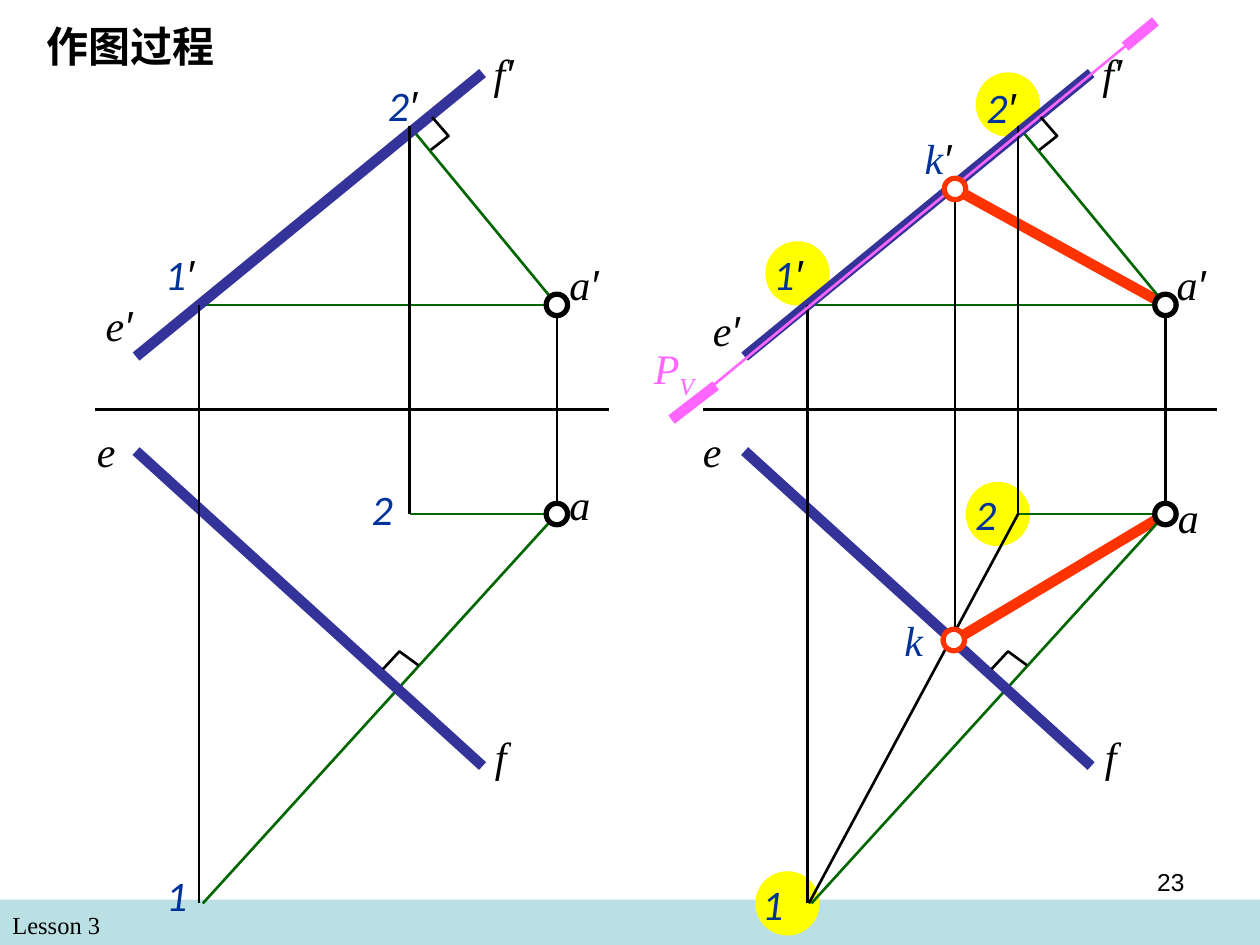
from pptx import Presentation
from pptx.dml.color import RGBColor
from pptx.enum.shapes import MSO_CONNECTOR, MSO_SHAPE
from pptx.enum.text import MSO_ANCHOR, MSO_AUTO_SIZE, PP_ALIGN
from pptx.oxml.ns import qn
from pptx.util import Inches, Pt
from lxml import etree

HUES = {
    "black": "000000", "white": "FFFFFF", "yellow": "FFFF00", "red": "FF3300",
    "green": "006600", "blue": "333399", "navy": "003399", "pink": "FF66FF",
    "band": "BBE0E3",
}
RGB = {name: RGBColor.from_string(code) for name, code in HUES.items()}
SERIF = "Times New Roman"
SHIFT = 4.83

deck = Presentation()
deck.slide_width, deck.slide_height = Inches(10), Inches(7.5)
slide = deck.slides.add_slide(deck.slide_layouts[5])
shapes = slide.shapes


def oval(x, y, size, fill, edge, width):
    disc = shapes.add_shape(MSO_SHAPE.OVAL, Inches(x - size / 2), Inches(y - size / 2),
                            Inches(size), Inches(size))
    disc.shadow.inherit = False
    disc.fill.solid()
    disc.fill.fore_color.rgb = RGB[fill]
    disc.line.color.rgb = RGB[edge]
    disc.line.width = Pt(width)


def write(box, runs, size, wrap=False, align=PP_ALIGN.LEFT):
    frame = box.text_frame
    frame.word_wrap = wrap
    frame.auto_size = MSO_AUTO_SIZE.NONE
    frame.vertical_anchor = MSO_ANCHOR.TOP
    para = frame.paragraphs[0]
    para.alignment = align
    for text, face, hue, bold, slant in runs:
        run = para.add_run()
        run.text = text
        run.font.name = face
        run.font.size = Pt(size)
        run.font.bold = bold
        run.font.italic = slant
        run.font.color.rgb = RGB[hue]
    return para


band = shapes.add_shape(MSO_SHAPE.RECTANGLE, 0, Inches(7.14), Inches(10), Inches(0.36))
band.shadow.inherit = False
band.fill.solid()
band.fill.fore_color.rgb = RGB["band"]
band.line.fill.background()

for x, y in [(8, 0.83), (7.92, 4.08), (6.25, 7.17), (6.33, 2.17)]:
    oval(x, y, 0.5, "yellow", "yellow", 0.75)

figure = [
    (4.42, 2.42, 1.58, 2.42, "green", 1.5),
    (4.42, 4.08, 3.25, 4.08, "green", 1.5),
    (3.25, 1, 4.42, 2.42, "green", 1.5),
    (1.61, 7.17, 4.42, 4.08, "green", 1.5),
    (0.75, 3.25, 4.83, 3.25, "black", 1.5),
    (4.42, 2.42, 4.42, 4.08, "black", 1.5),
    (3.83, 0.58, 1.08, 2.83, "blue", 6),
    (1.08, 3.58, 3.83, 6.08, "blue", 6),
    (1.58, 2.42, 1.58, 7.17, "black", 1.5),
    (3.25, 1, 3.25, 4.08, "black", 1.5),
]
lines = [
    (7.58, 5.08, 9.25, 4.08, "red", 6),
    (7.58, 1.5, 9.25, 2.42, "red", 6),
]
for dx in (0, SHIFT):
    lines += [(x1 + dx, y1, x2 + dx, y2, hue, width)
              for x1, y1, x2, y2, hue, width in figure]
lines += [
    (5.33, 3.33, 9.17, 0.17, "pink", 1.5),
    (5.33, 3.33, 5.68, 3.06, "pink", 6),
    (9.17, 0.17, 8.93, 0.37, "pink", 6),
    (7.58, 5.08, 7.58, 1.5, "black", 1.5),
    (6.42, 7.17, 8.08, 4.08, "black", 1.5),
]
for x1, y1, x2, y2, hue, width in lines:
    line = shapes.add_connector(MSO_CONNECTOR.STRAIGHT, Inches(x1), Inches(y1),
                                Inches(x2), Inches(y2))
    line.line.color.rgb = RGB[hue]
    line.line.width = Pt(width)
    etree.SubElement(line._element.spPr, qn("a:effectLst"))

corners = [
    [(3.43, 0.93), (3.56, 1.08), (3.42, 1.19)],
    [(3.04, 5.31), (3.17, 5.17), (3.32, 5.28)],
]
for dx in (0, SHIFT):
    for corner in corners:
        points = [(Inches(x + dx), Inches(y)) for x, y in corner]
        pen = shapes.build_freeform(*points[0])
        pen.add_line_segments(points[1:], close=False)
        angle = pen.convert_to_shape()
        angle.shadow.inherit = False
        angle.fill.background()
        angle.line.color.rgb = RGB["black"]
        angle.line.width = Pt(1.5)
    for y in (2.42, 4.08):
        oval(4.42 + dx, y, 0.17, "white", "black", 3)

for x, y in [(7.58, 1.5), (7.57, 5.08)]:
    oval(x, y, 0.17, "white", "red", 3)

labels = [
    ("f′", 3.82, 0.33, 0.4), ("f′", 8.65, 0.33, 0.4),
    ("2′", 2.98, 0.58, 0.49), ("2′", 7.73, 0.6, 0.49),
    ("1′", 1.21, 1.92, 0.49), ("1′", 6.04, 1.92, 0.49),
    ("a′", 4.42, 2, 0.48), ("a′", 9.24, 2, 0.48),
    ("e′", 0.74, 2.33, 0.46), ("e′", 5.56, 2.37, 0.49),
    ("e", 0.67, 3.33, 0.35), ("e", 5.48, 3.33, 0.35),
    ("a", 4.42, 3.75, 0.36), ("a", 9.25, 3.85, 0.36),
    ("2", 2.85, 3.79, 0.38), ("2", 7.64, 3.83, 0.38),
    ("f", 3.83, 5.75, 0.29), ("f", 8.67, 5.75, 0.29),
    ("1", 1.22, 6.85, 0.38), ("1", 5.95, 6.92, 0.38),
    ("k′", 7.24, 1, 0.46), ("k", 7.08, 4.83, 0.35),
]
for text, x, y, width in labels:
    box = shapes.add_textbox(Inches(x), Inches(y), Inches(width), Inches(0.5))
    face = "Calibri" if text[0] in "12" else SERIF
    hue = "navy" if text[0] in "12k" else "black"
    runs = [(text[0], face, hue, False, True)]
    if len(text) > 1:
        runs.append((text[1], "Arial", "black", False, True))
    write(box, runs, 24)

trace = shapes.add_textbox(Inches(5.09), Inches(2.67), Inches(0.52), Inches(0.56))
para = write(trace, [(text, SERIF, "pink", False, True) for text in "PV"], 24)
para.runs[1]._r.get_or_add_rPr().set("baseline", "-25000")

title = shapes.title
title.left, title.top = Inches(0.27), Inches(0.11)
title.width, title.height = Inches(1.7), Inches(0.5)
write(title, [("作图过程", "Arial", "black", True, False)], 24)

foot = shapes.add_textbox(0, Inches(7.17), Inches(4.83), Inches(0.34))
write(foot, [("Lesson 3", SERIF, "black", False, False)], 14, wrap=True)

page = shapes.add_textbox(Inches(7.17), Inches(6.83), Inches(2.33), Inches(0.52))
write(page, [("23", "Arial", "black", False, False)], 14, wrap=True, align=PP_ALIGN.RIGHT)

deck.save("out.pptx")
